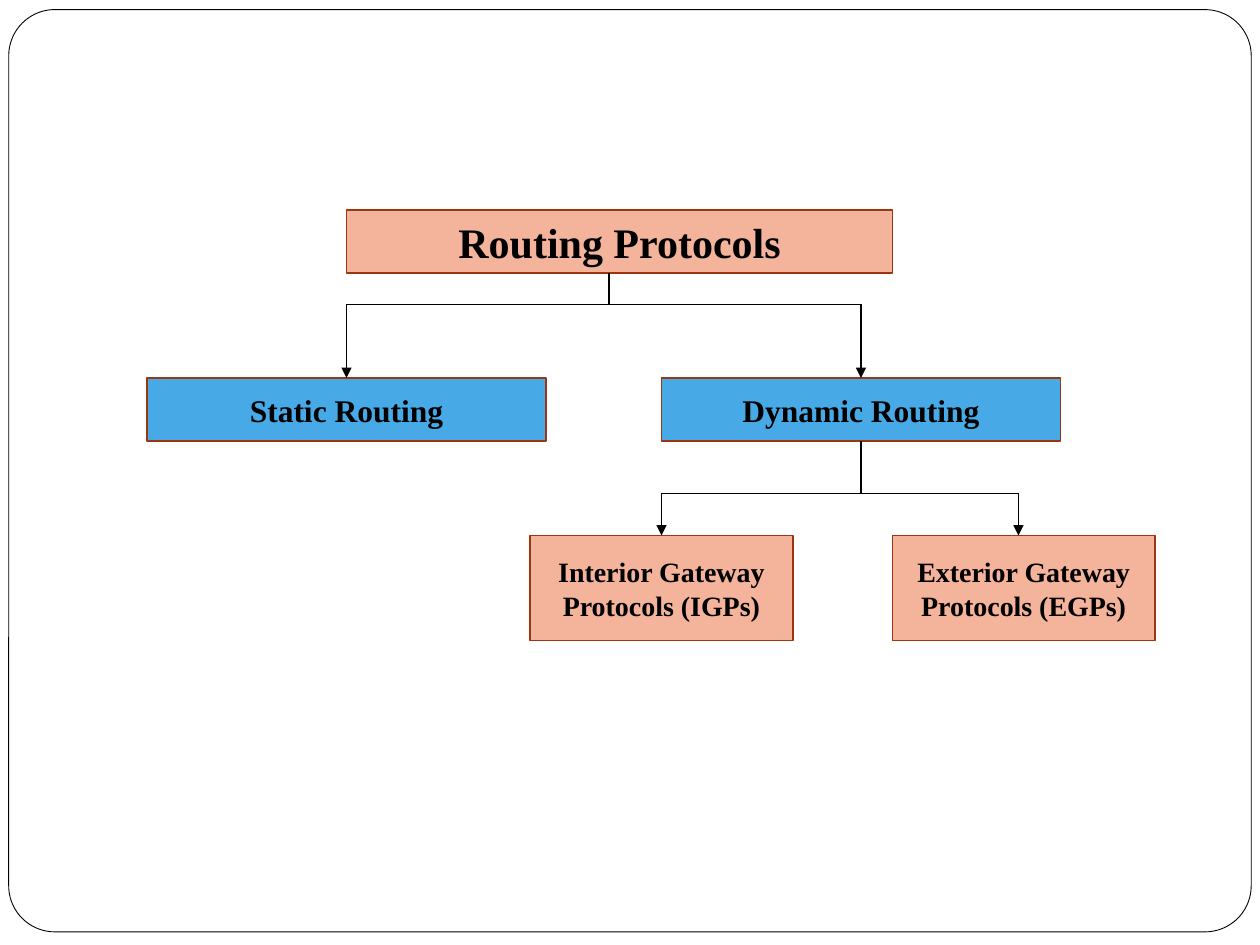
"""Build a slide with the routing protocol family tree."""
from lxml import etree
from pptx import Presentation
from pptx.dml.color import RGBColor
from pptx.enum import shapes, text
from pptx.oxml import ns
from pptx.util import Pt

FONT = "Times New Roman"
COLORS = {"salmon": "F4B39B", "blue": "47A9E5", "rust": "9C3511",
          "black": "000000", "white": "FFFFFF"}
TOP, BOTTOM = 0, 2

LEVELS = {
    "root": {"top": 120, "width": 312, "height": 36, "size": 24, "fill": "salmon"},
    "kind": {"top": 216, "width": 228, "height": 36, "size": 18, "fill": "blue"},
    "family": {"top": 306, "width": 150, "height": 60, "size": 16, "fill": "salmon"},
}
NODES = [
    ("Routing Protocols", "root", 198),
    ("Static Routing", "kind", 84),
    ("Dynamic Routing", "kind", 378),
    ("Interior Gateway Protocols (IGPs)", "family", 303),
    ("Exterior Gateway Protocols (EGPs)", "family", 510),
]
BRANCHES = [
    {"parent": 0, "stem": 348, "rail": 174, "children": {1: 198, 2: 492}},
    {"parent": 2, "stem": 492, "rail": 282, "children": {3: 378, 4: 582}},
]


def color(name):
    return RGBColor.from_string(COLORS[name])


def add_box(page, kind, left, top, width, height, fill, line, weight):
    box = page.shapes.add_shape(kind, Pt(left), Pt(top), Pt(width), Pt(height))
    box.shadow.inherit = False
    box.fill.solid()
    box.fill.fore_color.rgb = color(fill)
    box.line.color.rgb = color(line)
    box.line.width = Pt(weight)
    return box


def write(box, words, *, size, ink="black", bold=True):
    frame = box.text_frame
    frame.word_wrap = True
    frame.vertical_anchor = text.MSO_ANCHOR.MIDDLE
    para = frame.paragraphs[0]
    para.alignment = text.PP_ALIGN.CENTER
    span = para.add_run()
    span.text = words
    span.font.name = FONT
    span.font.size = Pt(size)
    span.font.bold = bold
    span.font.color.rgb = color(ink)


def add_line(page, start, end, arrow=False):
    line = page.shapes.add_connector(
        shapes.MSO_CONNECTOR.STRAIGHT, *(Pt(value) for value in (*start, *end)))
    line.line.color.rgb = color("black")
    line.line.width = Pt(0.75)
    if arrow:
        etree.SubElement(line.line._get_or_add_ln(), ns.qn("a:tailEnd"), type="triangle")
    etree.SubElement(line._element.spPr, ns.qn("a:effectLst"))
    return line


def is_middle(box, x):
    return box.left + box.width // 2 == Pt(x)


def add_branch(page, boxes, parent, stem, rail, children):
    ends = list(children.values())
    add_line(page, (ends[0], rail), (ends[-1], rail))
    source = boxes[parent]
    trunk = add_line(page, (stem, (source.top + source.height).pt
                            if hasattr(source.top + source.height, "pt")
                            else (source.top + source.height) / Pt(1)), (stem, rail))
    if is_middle(source, stem):
        trunk.begin_connect(source, BOTTOM)
    for child, x in children.items():
        target = boxes[child]
        drop = add_line(page, (x, rail), (x, target.top.pt), arrow=True)
        if is_middle(target, x):
            drop.end_connect(target, TOP)


def main():
    deck = Presentation()
    deck.slide_width, deck.slide_height = Pt(720), Pt(540)
    page = deck.slides.add_slide(deck.slide_layouts.get_by_name("Blank"))

    border = add_box(page, shapes.MSO_SHAPE.ROUNDED_RECTANGLE,
                     5, 5.5, 710, 527, "white", "black", 0.5)
    border.adjustments[0] = 0.05

    boxes = []
    for words, level, left in NODES:
        look = LEVELS[level]
        box = add_box(page, shapes.MSO_SHAPE.RECTANGLE, left, look["top"],
                      look["width"], look["height"], look["fill"], "rust", 1)
        write(box, words, size=look["size"])
        boxes.append(box)
    for branch in BRANCHES:
        add_branch(page, boxes, **branch)
    deck.save("out.pptx")


if __name__ == "__main__":
    main()
